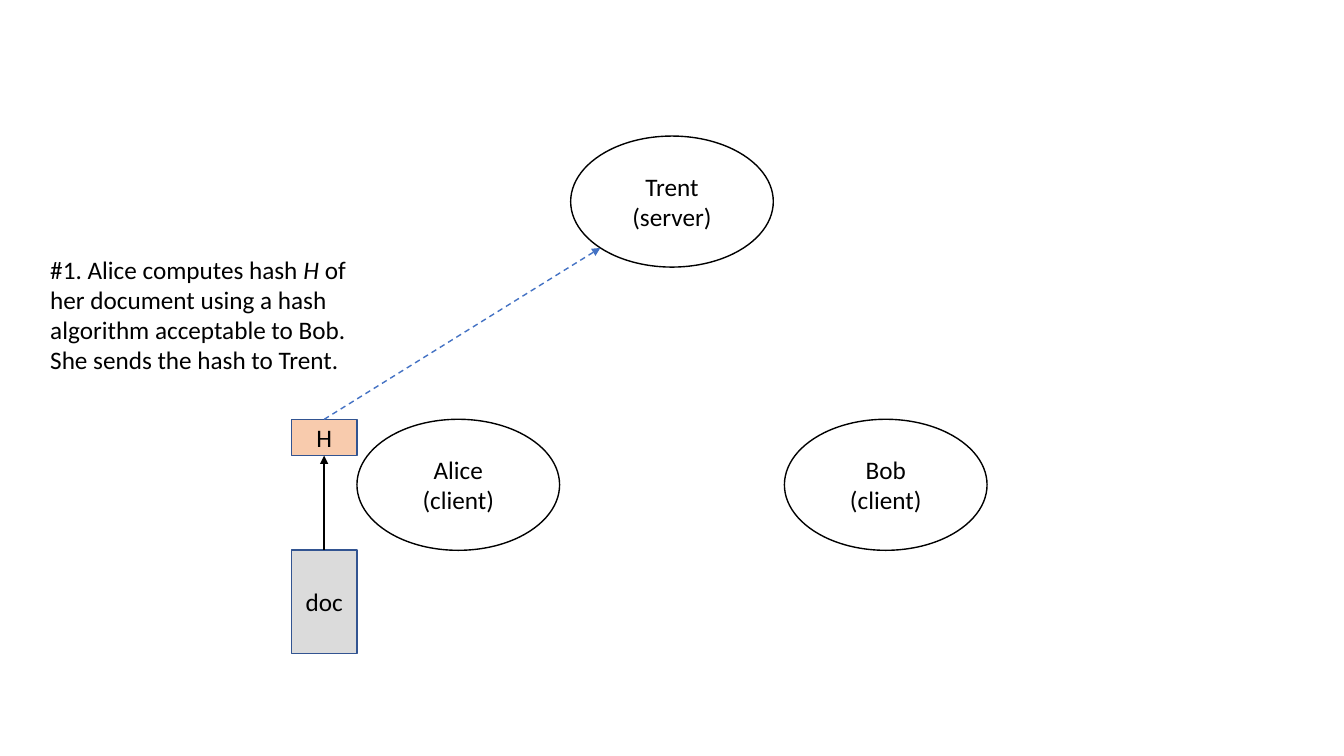
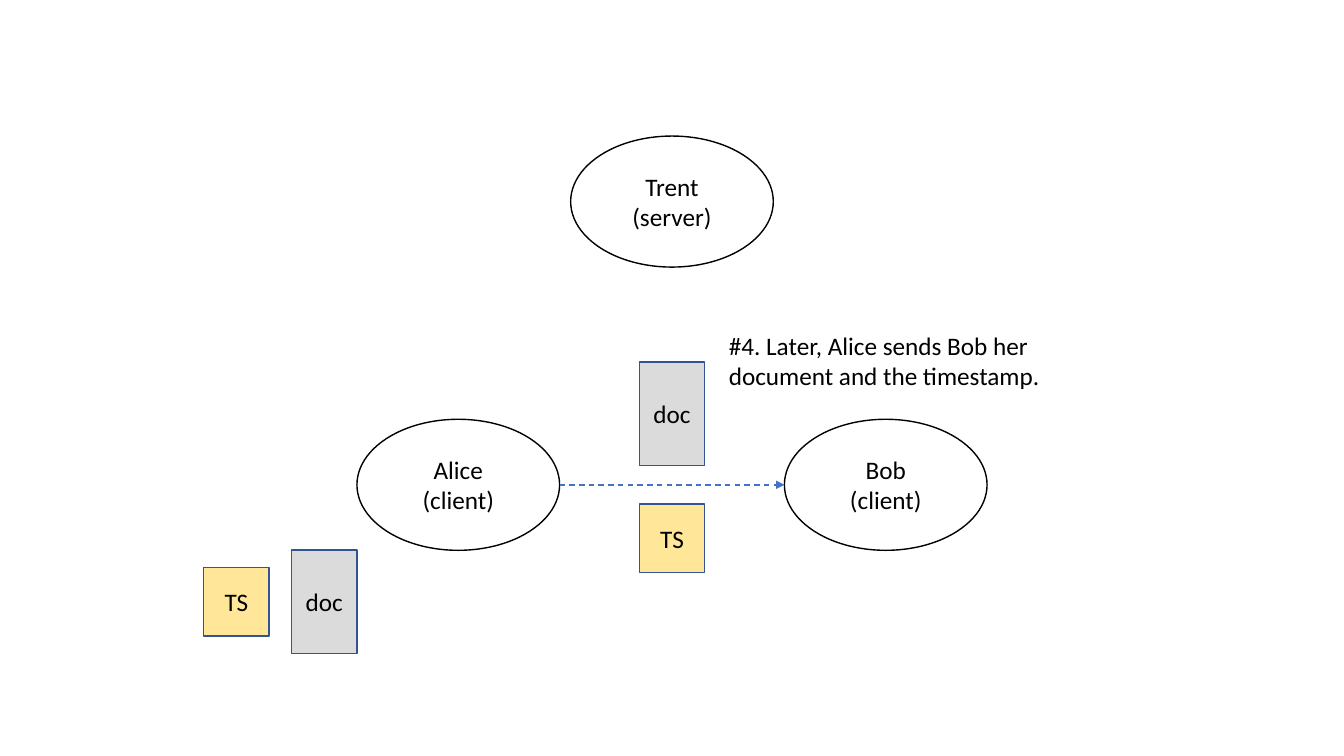
import math
from lxml import etree
from pptx import Presentation
from pptx import util as u
from pptx.dml.color import RGBColor
from pptx.enum import dml, shapes, text
from pptx.oxml.ns import qn

W, H = 13.33, 7.5
C = {"ink": "000000", "edge": "325491", "message": "4472C4",
     "doc": "DBDBDB", "hash": "F8CBAD", "stamp": "FFE699"}
FONT = {"name": "Calibri", "size": u.Pt(18)}

# Actors: Trent centred above, Alice and Bob mirrored about the slide's middle
OVAL_W, OVAL_H = 2.01, 1.3
MID, SPREAD = W / 2, 2.12
CLIENT_Y = 4.81
ACTORS = {"Trent": ("(server)", MID, 2.0),
          "Alice": ("(client)", MID - SPREAD, CLIENT_Y),
          "Bob": ("(client)", MID + SPREAD, CLIENT_Y)}

# Items: label, fill and height; all share one width
ITEM_W = 0.65
ITEMS = {"doc": ("doc", "doc", 1.03), "hash": ("H", "hash", 0.36),
         "stamp": ("TS", "stamp", 0.68)}
ALICE_LEFT = MID - SPREAD - OVAL_W / 2
STORE_X, STORE_Y = ALICE_LEFT - ITEM_W / 2, 5.97    # Alice's own document
CLIENT_TOP = CLIENT_Y - OVAL_H / 2


def rgb(name):
    return RGBColor.from_string(C[name])


def write(tf, paragraphs, align):
    """Each paragraph is a list of (words, italic) runs."""
    tf.word_wrap = True
    for i, runs in enumerate(paragraphs):
        p = tf.paragraphs[0] if i == 0 else tf.add_paragraph()
        p.alignment = align
        for words, italic in runs:
            r = p.add_run()
            r.text = words
            for key, value in {**FONT, "italic": italic}.items():
                setattr(r.font, key, value)
            r.font.color.rgb = rgb("ink")


def add_block(s, kind, cx, cy, w, h, lines, edge, fill=None):
    sp = s.shapes.add_shape(kind, *map(u.Inches, (cx - w / 2, cy - h / 2, w, h)))
    sp.shadow.inherit = False
    if fill:
        sp.fill.solid()
        sp.fill.fore_color.rgb = rgb(fill)
    else:
        sp.fill.background()
    sp.line.color.rgb = rgb(edge)
    sp.line.width = u.Pt(1)
    sp.text_frame.vertical_anchor = text.MSO_ANCHOR.MIDDLE
    write(sp.text_frame, [[(line, False)] for line in lines], text.PP_ALIGN.CENTER)


def add_item(s, name, cx, cy):
    label, fill, h = ITEMS[name]
    add_block(s, shapes.MSO_SHAPE.RECTANGLE, cx, cy, ITEM_W, h, [label], "edge", fill)


def add_arrow(s, start, end, color, dashed=False):
    ln = s.shapes.add_connector(shapes.MSO_CONNECTOR.STRAIGHT,
                                *map(u.Inches, (*start, *end)))
    ln.line.color.rgb = rgb(color)
    ln.line.width = u.Pt(1)
    if dashed:
        ln.line.dash_style = dml.MSO_LINE.DASH
    etree.SubElement(ln.line._get_or_add_ln(), qn("a:tailEnd"), type="triangle")
    etree.SubElement(ln._element.spPr, qn("a:effectLst"))


def add_note(s, x, y, w, h, runs):
    tf = s.shapes.add_textbox(*map(u.Inches, (x, y, w, h))).text_frame
    write(tf, [runs], text.PP_ALIGN.LEFT)
    tf.auto_size = text.MSO_AUTO_SIZE.SHAPE_TO_FIT_TEXT


def rim(name, degrees):
    """Point on an actor's outline, clockwise from its right end."""
    _, cx, cy = ACTORS[name]
    a = math.radians(degrees)
    return cx + OVAL_W / 2 * math.cos(a), cy + OVAL_H / 2 * math.sin(a)


def protocol_slide(prs):
    """The parts every step shares: three actors and Alice's document."""
    s = prs.slides.add_slide(prs.slide_layouts[6])
    for name, (role, cx, cy) in ACTORS.items():
        add_block(s, shapes.MSO_SHAPE.OVAL, cx, cy, OVAL_W, OVAL_H, [name, role], "ink")
    add_item(s, "doc", STORE_X, STORE_Y)
    return s


def hash_step(prs):
    s = protocol_slide(prs)
    hash_h, doc_h = ITEMS["hash"][2], ITEMS["doc"][2]
    add_item(s, "hash", STORE_X, CLIENT_TOP + hash_h / 2)
    # Document is hashed, hash goes to Trent
    add_arrow(s, (STORE_X, STORE_Y - doc_h / 2), (STORE_X, CLIENT_TOP + hash_h), "ink")
    add_note(s, 0.4, 2.47, 3.14, 1.31, [
        ("#1. Alice computes hash ", False), ("H", True),
        (" of her document using a hash algorithm acceptable to Bob. "
         "She sends the hash to Trent.", False)])
    add_arrow(s, (STORE_X, CLIENT_TOP), rim("Trent", 135), "message", dashed=True)


def delivery_step(prs):
    s = protocol_slide(prs)
    add_item(s, "stamp", STORE_X - 0.87, STORE_Y)
    # Document and timestamp travel above and below the message line
    add_arrow(s, rim("Alice", 0), rim("Bob", 180), "message", dashed=True)
    gap = 0.19
    for name, side in (("doc", -1), ("stamp", 1)):
        add_item(s, name, MID, CLIENT_Y + side * (gap + ITEMS[name][2] / 2))
    add_note(s, 7.13, 3.23, 3.49, 0.71, [
        ("#4. Later, Alice sends Bob her document and the timestamp.", False)])


prs = Presentation()
prs.slide_width, prs.slide_height = u.Inches(W), u.Inches(H)
for step in (hash_step, delivery_step):
    step(prs)
prs.save("out.pptx")
